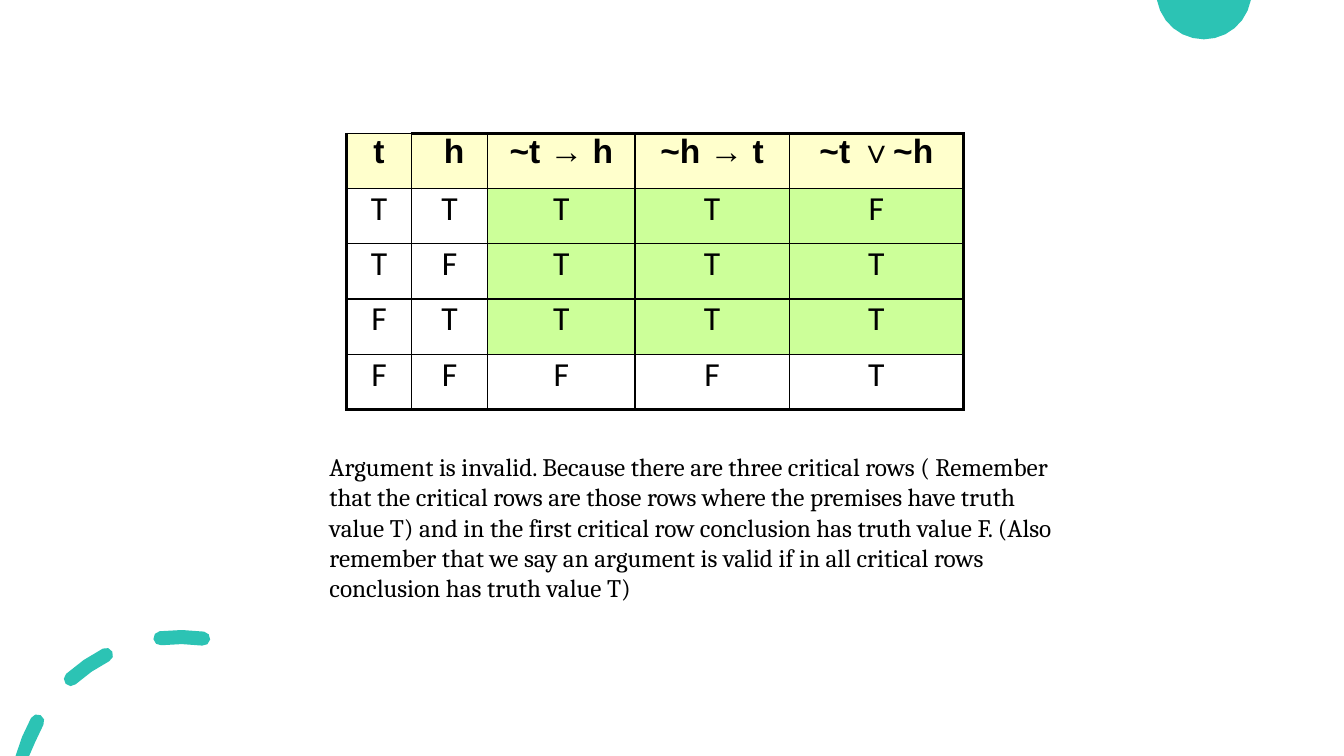
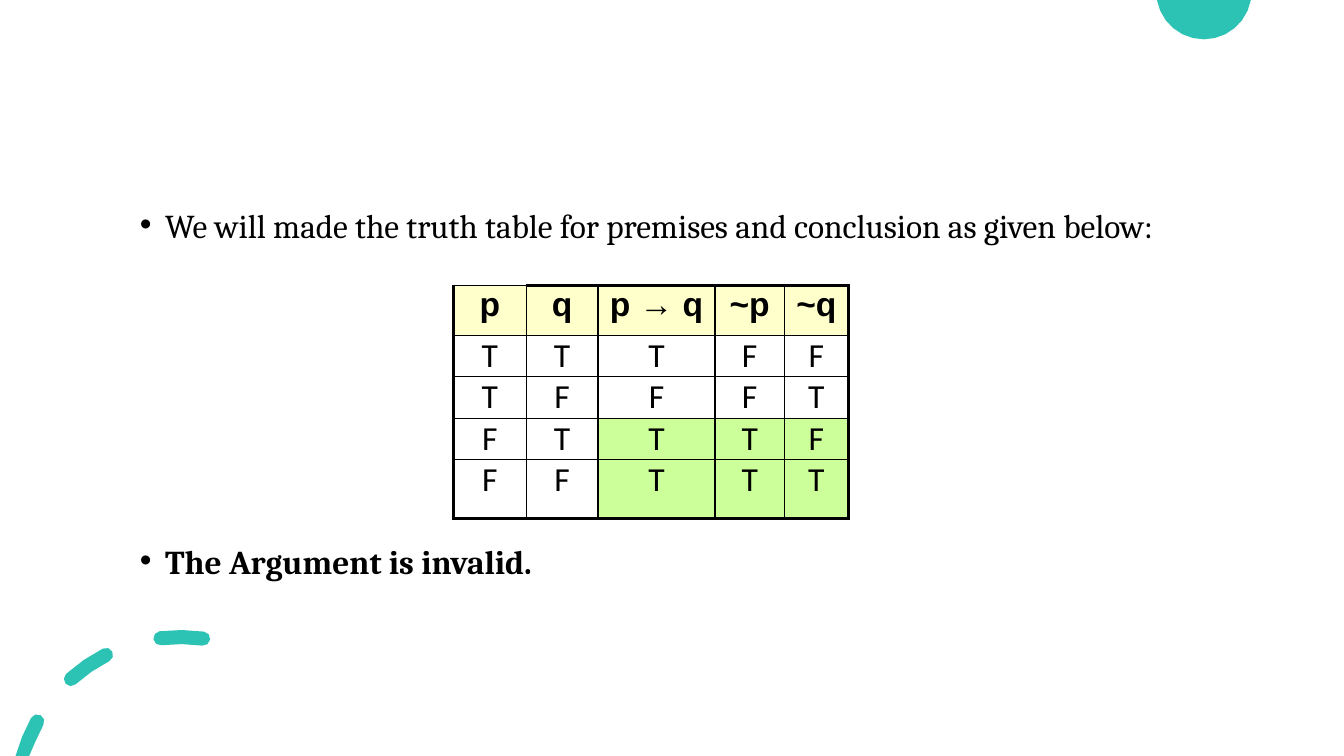
import math

from lxml import etree
from pptx import Presentation
from pptx.dml.color import RGBColor
from pptx.enum import text
from pptx.oxml import ns
from pptx.util import Emu, Pt

WIDTH, HEIGHT = 4000, 2250
EMU_PER_PX = 914400 // 300
BLACK, TEAL, CREAM, GREEN = "000000", "2CC3B4", "FFFFCC", "CCFF99"
BODY_FONT = "Cambria"
HEADER_FORMAT = {"name": "Arial", "size": Pt(24), "bold": True}
VALUE_FORMAT = {"name": "Calibri", "size": Pt(24), "bold": False}
THIN, THICK = Pt(1), Pt(2.25)


def px(length):
    return Emu(round(length * EMU_PER_PX))


def color(hex_string):
    return RGBColor.from_string(hex_string)


def set_values(target, values):
    for name, value in values.items():
        setattr(target, name, value)


def format_font(font, values):
    set_values(font, values)
    font.color.rgb = color(BLACK)


def add_element(parent, tag, **attributes):
    return etree.SubElement(parent, ns.qn(tag), attributes)


# Shared decoration
def polar(center, radius, degrees):
    angle = math.radians(degrees)
    return (center[0] + radius * math.cos(angle),
            center[1] + radius * math.sin(angle))


def arc(center, radius, start, end, steps):
    return [polar(center, radius, start + (end - start) * step / steps)
            for step in range(steps + 1)]


def round_end(center, radius, start):
    return arc(center, radius, start, start + 180, 4)[1:-1]


def dash_outline(center, radius, half_width, start, end):
    """A curved stroke with round ends, cut off at the slide's lower edge."""
    points = (arc(center, radius + half_width, start, end, 2)
              + round_end(polar(center, radius, end), half_width, end)
              + arc(center, radius - half_width, end, start, 2)
              + round_end(polar(center, radius, start), half_width, start + 180))
    return [(x, min(y, HEIGHT)) for x, y in points]


def add_outlines(slide, outlines):
    points = [[(px(x), px(y)) for x, y in outline] for outline in outlines]
    builder = slide.shapes.build_freeform(*points[0][0])
    for index, outline in enumerate(points):
        if index:
            builder.move_to(*outline[0])
        builder.add_line_segments(outline[1:], close=True)
    shape = builder.convert_to_shape()
    shape.shadow.inherit = False
    shape.fill.solid()
    shape.fill.fore_color.rgb = color(TEAL)
    shape.line.fill.background()


def add_decoration(slide):
    add_outlines(slide, [arc((3583, -25), 142, 10.14, 169.86, 12)])
    dash_angles = [(195, 209), (228, 243), (263, 278)]
    add_outlines(slide, [dash_outline((537, 2383), 487, 21, *angles)
                         for angles in dash_angles])


# Text
def add_text_frame(slide, box):
    frame = slide.shapes.add_textbox(*map(px, box)).text_frame
    frame.word_wrap = True
    return frame


def fill_paragraph(paragraph, content, size, bold=False):
    run = paragraph.add_run()
    run.text = content
    format_font(run.font, {"name": BODY_FONT, "size": Pt(size), "bold": bold})


def add_explanation(slide, box, content):
    frame = add_text_frame(slide, box)
    set_values(frame, {"vertical_anchor": text.MSO_ANCHOR.MIDDLE,
                       "margin_right": px(45), "margin_bottom": px(103)})
    fill_paragraph(frame.paragraphs[0], content, 18)


def add_bullets(slide, box, bullets, gap):
    frame = add_text_frame(slide, box)
    for index, (content, bold) in enumerate(bullets):
        paragraph = frame.add_paragraph() if index else frame.paragraphs[0]
        paragraph.line_spacing = 0.7
        paragraph.space_before = gap if index else Pt(0)
        properties = paragraph._p.get_or_add_pPr()
        properties.set("marL", str(px(75)))
        properties.set("indent", str(px(-75)))
        add_element(properties, "a:buFont", typeface="Arial")
        add_element(properties, "a:buChar", char="•")
        fill_paragraph(paragraph, content, 23.8, bold)


# Truth table
def set_borders(cell, widths):
    properties = cell._tc.get_or_add_tcPr()
    for side, width in widths.items():
        line = add_element(properties, f"a:ln{side}", w=str(width))
        fill = add_element(line, "a:solidFill")
        add_element(fill, "a:srgbClr", val=BLACK)


def add_truth_table(slide, corner, columns, heights, header, rows, critical_rows):
    """Rows are strings of T and F; critical rows are tinted from the third column."""
    box = (*corner, sum(columns), sum(heights))
    frame = slide.shapes.add_table(len(heights), len(columns), *map(px, box))
    table = frame.table
    table.first_row = table.horz_banding = False
    for column, width in zip(table.columns, columns):
        column.width = px(width)
    for row, height in zip(table.rows, heights):
        row.height = px(height)

    last_row, last_column = len(heights) - 1, len(columns) - 1
    for r, values in enumerate([header, *rows]):
        for c, value in enumerate(values):
            cell = table.cell(r, c)
            set_values(cell, {f"margin_{side}": 0
                              for side in ("left", "right", "top", "bottom")})
            set_borders(cell, {
                "L": THICK if c == 0 else THIN,
                "R": THICK if c == last_column else THIN,
                "T": THICK if r == 0 and c > 0 else THIN,
                "B": THICK if r == last_row else THIN,
            })
            tint = CREAM if r == 0 else GREEN if r in critical_rows and c > 1 else None
            if tint:
                cell.fill.solid()
                cell.fill.fore_color.rgb = color(tint)
            else:
                cell.fill.background()
            paragraph = cell.text_frame.paragraphs[0]
            paragraph.text = value
            paragraph.alignment = text.PP_ALIGN.CENTER
            if r:
                paragraph.space_after = Pt(10)
            format_font(paragraph.runs[0].font, VALUE_FORMAT if r else HEADER_FORMAT)


# Slides
def new_slide(presentation):
    slide = presentation.slides.add_slide(presentation.slide_layouts[6])
    add_decoration(slide)
    return slide


def add_explained_table_slide(presentation):
    slide = new_slide(presentation)
    add_truth_table(slide, (1032, 397), [192, 228, 438, 459, 519],
                    [164, 165, 164, 165, 164],
                    ["t", " h", "~t → h", "~h → t", "~t ∨~h"],
                    ["TTTTF", "TFTTT", "FTTTT", "FFFFT"], {1, 2, 3})
    add_explanation(
        slide, (951, 1275, 2226, 675),
        "Argument is invalid. Because there are three critical rows ( Remember "
        "that the critical rows are those rows where the premises have truth "
        "value T) and in the first critical row conclusion has truth value F. "
        "(Also remember that we say an argument is valid if in all critical rows "
        "conclusion has truth value T)")


def add_bulleted_table_slide(presentation):
    slide = new_slide(presentation)
    add_bullets(slide, (387, 627, 3225, 1266), [
        ("We will made the truth table for premises and conclusion as given below:", False),
        ("The Argument is invalid.", True),
    ], gap=Pt(220))
    add_truth_table(slide, (1350, 850), [216, 214, 348, 207, 190],
                    [148, 123, 124, 123, 175],
                    ["p", "q", "p → q", "~p", "~q"],
                    ["TTTFF", "TFFFT", "FTTTF", "FFTTT"], {3, 4})


def main():
    presentation = Presentation()
    presentation.slide_width, presentation.slide_height = px(WIDTH), px(HEIGHT)
    add_explained_table_slide(presentation)
    add_bulleted_table_slide(presentation)
    presentation.save("out.pptx")


if __name__ == "__main__":
    main()
